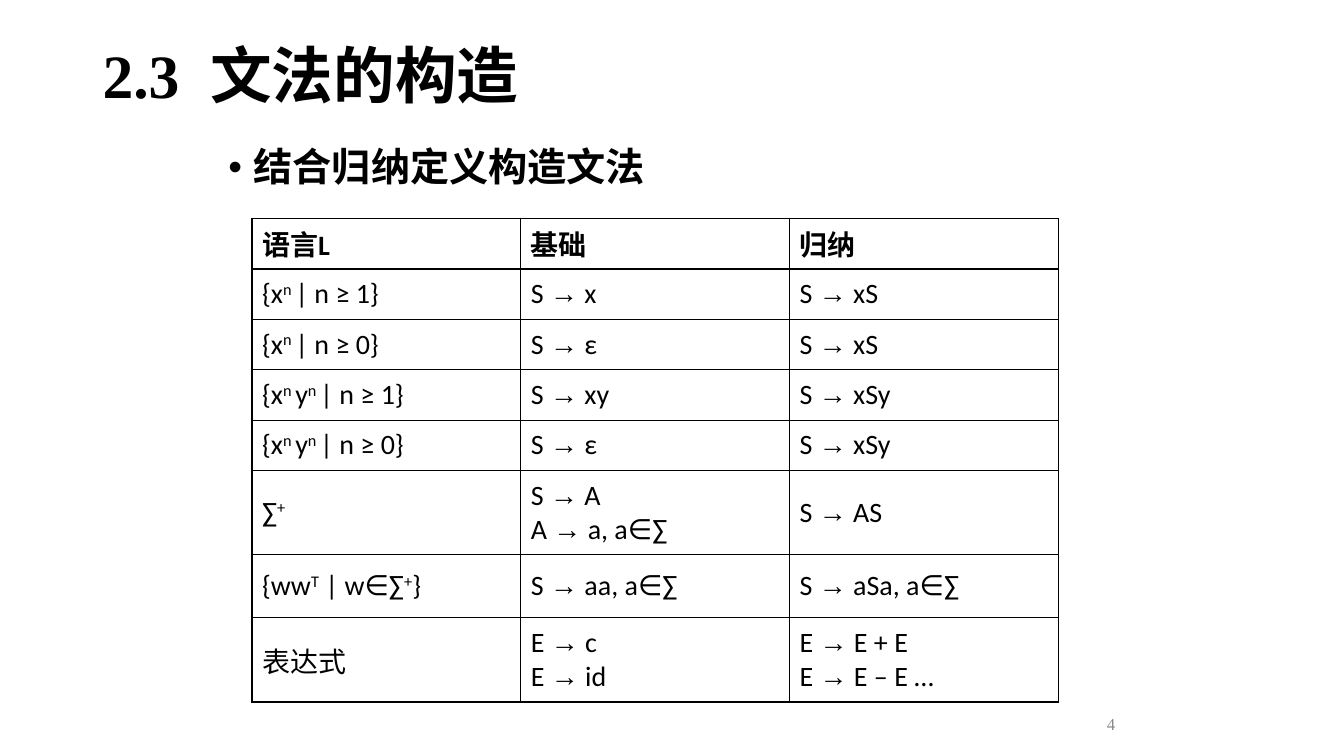
import dataclasses
import typing

import lxml.etree
import pptx
import pptx.dml.color
import pptx.enum.text
import pptx.oxml.ns
import pptx.util

Cm = pptx.util.Cm
Pt = pptx.util.Pt
ANCHOR = pptx.enum.text.MSO_ANCHOR
ALIGN = pptx.enum.text.PP_ALIGN
BLACK = pptx.dml.color.RGBColor(0x00, 0x00, 0x00)
GREY = pptx.dml.color.RGBColor(0x89, 0x89, 0x89)
SERIF = "Times New Roman"
SANS = "Calibri"
ARROW = "→"
RAISED = "^"


@dataclasses.dataclass(frozen=True)
class GrammarRow:
    height: float
    language: str
    basis: str
    induction: str
    bold: bool = False


ROWS = [
    GrammarRow(1.27, "语言L", "基础", "归纳", bold=True),
    GrammarRow(1.27, "{x^n ^| n ≥ 1}", "S → x", "S → xS"),
    GrammarRow(1.27, "{x^n ^| n ≥ 0}", "S → ε", "S → xS"),
    GrammarRow(1.27, "{x^n ^y^n ^| n ≥ 1}", "S → xy", "S → xSy"),
    GrammarRow(1.27, "{x^n ^y^n ^| n ≥ 0}", "S → ε", "S → xSy"),
    GrammarRow(2.12, "∑^+", "S → A\nA → a, a∈∑", "S → AS"),
    GrammarRow(1.59, "{ww^T^ | w∈∑^+^}", "S → aa, a∈∑", "S → aSa, a∈∑"),
    GrammarRow(2.12, "表达式", "E → c\nE → id", "E → E + E\nE → E – E …"),
]


def apply(target: typing.Any, values: dict[str, typing.Any]) -> None:
    for name, value in values.items():
        setattr(target, name, value)


def add_span(para: typing.Any, text: str, size: float, font: str, bold: bool = False,
             color: pptx.dml.color.RGBColor = BLACK, **extras: str) -> None:
    span = para.add_run()
    span.text = text
    apply(span.font, {"size": Pt(size), "name": font, "bold": bold})
    span.font.color.rgb = color
    for name, value in extras.items():
        span.font._element.set(name, value)


def place(box: typing.Any, left: float, top: float, width: float, height: float,
          anchor: ANCHOR) -> typing.Any:
    apply(box, {"left": Cm(left), "top": Cm(top), "width": Cm(width), "height": Cm(height)})
    apply(box.text_frame, {"word_wrap": True, "vertical_anchor": anchor,
                           "auto_size": pptx.enum.text.MSO_AUTO_SIZE.NONE})
    return box.text_frame.paragraphs[0]


def add_rule(para: typing.Any, text: str, bold: bool) -> None:
    for index, piece in enumerate(text.split(RAISED)):
        extras = {"baseline": "30000"} if index % 2 else {}
        for part in piece.partition(ARROW):
            if part == ARROW:
                add_span(para, part, 20, SERIF, True)
            elif part:
                add_span(para, part, 20, SANS, bold, **extras)


def add_borders(cell: typing.Any) -> None:
    properties = cell._tc.get_or_add_tcPr()
    for position, side in enumerate(("lnL", "lnR", "lnT", "lnB")):
        line = lxml.etree.Element(pptx.oxml.ns.qn(f"a:{side}"), w=str(Pt(1)))
        fill = lxml.etree.SubElement(line, pptx.oxml.ns.qn("a:solidFill"))
        lxml.etree.SubElement(fill, pptx.oxml.ns.qn("a:srgbClr"), val=str(BLACK))
        properties.insert(position, line)


def fill_cell(cell: typing.Any, text: str, bold: bool) -> None:
    cell.vertical_anchor = ANCHOR.MIDDLE
    cell.fill.background()
    add_borders(cell)
    for index, line in enumerate(text.split("\n")):
        frame = cell.text_frame
        para = frame.add_paragraph() if index else frame.paragraphs[0]
        add_rule(para, line, bold)


def add_grammar_table(page: typing.Any, rows: list[GrammarRow]) -> None:
    height = sum(row.height for row in rows)
    frame = page.shapes.add_table(len(rows), 3, Cm(6.35), Cm(5.5), Cm(20.32), Cm(height))
    table = frame.table
    apply(table, {"first_row": False, "horz_banding": False})
    for row_index, row in enumerate(rows):
        table.rows[row_index].height = Cm(row.height)
        for column, text in enumerate((row.language, row.basis, row.induction)):
            fill_cell(table.cell(row_index, column), text, row.bold)


deck = pptx.Presentation()
apply(deck, {"slide_width": Cm(33.87), "slide_height": Cm(19.05)})
page = deck.slides.add_slide(deck.slide_layouts[1])

title = place(page.shapes.title, 2.33, 1.01, 29.21, 3.68, ANCHOR.TOP)
apply(title, {"alignment": ALIGN.LEFT, "line_spacing": 0.9})
add_span(title, "2.3", 44, SERIF, True)
add_span(title, " ", 44, SERIF, True, spc="1100")
add_span(title, "文法的构造", 44, SERIF, True)

topic = place(page.placeholders[1], 5.5, 3.6, 22.86, 12.57, ANCHOR.TOP)
apply(topic, {"line_spacing": 0.9, "space_before": Pt(10)})
indents = topic._p.get_or_add_pPr()
indents.set("marL", str(Cm(0.64)))
indents.set("indent", str(Cm(-0.64)))
add_span(topic, "结合归纳定义构造文法", 28, SANS, True)

add_grammar_table(page, ROWS)

number_box = page.shapes.add_textbox(0, 0, 0, 0)
number = place(number_box, 22.43, 17.36, 5.93, 1.27, ANCHOR.BOTTOM)
number.alignment = ALIGN.RIGHT
add_span(number, "4", 12, SERIF, color=GREY)

deck.save("out.pptx")
